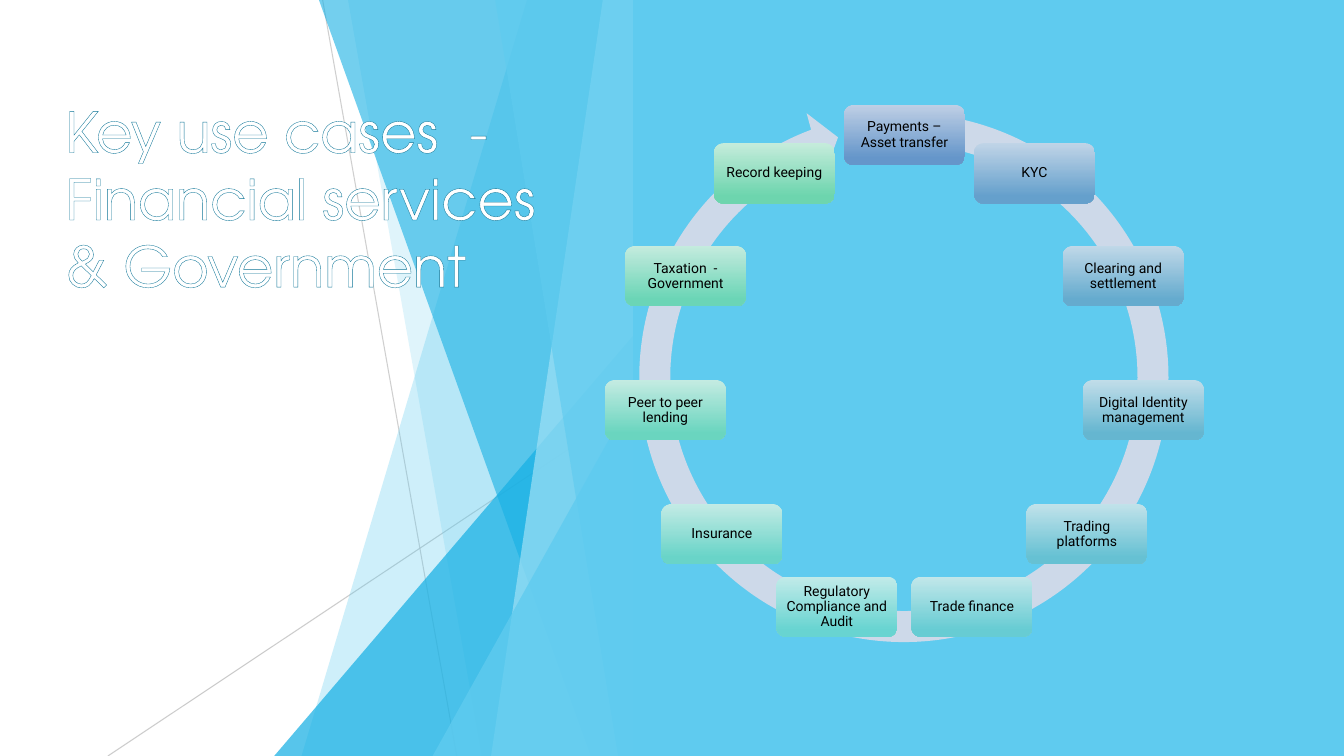
from math import cos, pi, sin

from lxml.etree import SubElement
from pptx import Presentation
from pptx.dml.color import RGBColor as Rgb
from pptx.enum.shapes import MSO_CONNECTOR as Wire, MSO_SHAPE as Kind
from pptx.enum.text import MSO_ANCHOR as Anchor, MSO_AUTO_SIZE as Fit, PP_ALIGN as Align
from pptx.oxml import parse_xml
from pptx.oxml.ns import nsdecls, qn
from pptx.util import Pt

PX = 9144  # 100 px to the inch
COLORS = {
    "sky": "5FCBEF", "blue": "17B0E4", "pale": "9FE0F5", "gray": "BFBFBF",
    "white": "FFFFFF", "edge": "0F7698", "ring": "CDD9E9", "black": "000000",
}
# label, top colour, bottom colour; clockwise from the top
CASES = [
    ("Payments – Asset transfer", "BFCFE5", "6596CA"),
    ("KYC", "C0D4E7", "65A0CC"),
    ("Clearing and settlement", "C0D8E8", "65ABCE"),
    ("Digital Identity management", "C1DDE9", "65B6D0"),
    ("Trading platforms", "C1E2EA", "66C1D3"),
    ("Trade finance", "C2E7EA", "67CCD3"),
    ("Regulatory Compliance and Audit", "C2EBE9", "68D4D1"),
    ("Insurance", "C3EBE5", "69D4C8"),
    ("Peer to peer lending", "C4EBE2", "6AD5BF"),
    ("Taxation  - Government", "C4EBDE", "6BD5B6"),
    ("Record keeping", "C5ECDB", "6DD5AE"),
]


def rgb(name):
    return Rgb.from_string(COLORS.get(name, name))


def apply(target, values):
    for key, value in values.items():
        setattr(target, key, value)


def fade(shape, alpha):
    """Set the opacity, in percent, of each colour in the shape."""
    for color in shape._element.xpath(".//a:srgbClr"):
        SubElement(color, qn("a:alpha")).set("val", str(alpha * 1000))


class Deck:
    title_font = {"name": "TeX Gyre Adventor", "size": Pt(40)}
    node_font = {"name": "Roboto", "size": Pt(10)}
    node_frame = {
        "word_wrap": True, "vertical_anchor": Anchor.MIDDLE,
        **{f"margin_{side}": 7 * PX for side in ("left", "right", "top", "bottom")},
    }

    def __init__(self):
        self.show = Presentation()
        apply(self.show, {"slide_width": 1333 * PX, "slide_height": 750 * PX})
        self.slide = self.show.slides.add_slide(self.show.slide_layouts[5])
        self.shapes = self.slide.shapes

    def paint(self, shape, color, alpha=100):
        shape.shadow.inherit = False
        shape.line.fill.background()
        shape.fill.solid()
        shape.fill.fore_color.rgb = rgb(color)
        if alpha < 100:
            fade(shape, alpha)
        return shape

    def shape(self, kind, box, color, alpha=100, adjust=()):
        shape = self.shapes.add_shape(kind, *(n * PX for n in box))
        for i, value in enumerate(adjust):
            shape.adjustments[i] = value
        return self.paint(shape, color, alpha)

    def facet(self, left, right, foot, start, color, alpha):
        """Draw a full-height band from its top edge to its bottom edge."""
        form = self.shapes.build_freeform(left, -1, scale=PX)
        form.add_line_segments([(right, -1), (right, 750), (foot, 750), (start, -1)])
        self.paint(form.convert_to_shape(), color, alpha)

    def line(self, ends, color, alpha):
        line = self.shapes.add_connector(Wire.STRAIGHT, *(n * PX for n in ends))
        line.line.width = Pt(0.75)
        line.line.color.rgb = rgb(color)
        fade(line, alpha)
        SubElement(line._element.spPr, qn("a:effectLst"))

    def title(self, text, box):
        title = self.shapes.title
        apply(title, dict(zip(("left", "top", "width", "height"), (n * PX for n in box))))
        frame = title.text_frame
        apply(frame, {"text": text, "word_wrap": True, "auto_size": Fit.NONE,
                      "vertical_anchor": Anchor.MIDDLE})
        para = frame.paragraphs[0]
        para.alignment = Align.LEFT
        run = para.runs[0]
        apply(run.font, self.title_font)
        run.font.color.rgb = rgb("white")
        run._r.get_or_add_rPr().insert(0, parse_xml(
            f'<a:ln {nsdecls("a")} w="{Pt(1.5)}"><a:solidFill>'
            f'<a:srgbClr val="{COLORS["edge"]}"/></a:solidFill></a:ln>'))
        self.shapes._spTree.append(title._element)  # bring to front

    def node(self, text, box, top, base):
        node = self.shape(Kind.ROUNDED_RECTANGLE, box, top)
        node.fill.gradient()
        node.fill.gradient_angle = 270
        for stop, color, place in zip(node.fill.gradient_stops, (top, base), (0, 0.88)):
            stop.color.rgb = rgb(color)
            stop.position = place
        apply(node.text_frame, {"text": text, **self.node_frame})
        para = node.text_frame.paragraphs[0]
        apply(para, {"alignment": Align.CENTER, "line_spacing": 0.9})
        apply(para.runs[0].font, self.node_font)
        para.runs[0].font.color.rgb = rgb("black")


def main():
    deck = Deck()
    side = 628  # where the facets meet the blue panel
    deck.line((320, 0, 453, 750), "gray", 75)
    deck.line((side, 403, 107, 750), "gray", 80)
    deck.facet(523, side, 299, 523, "sky", 30)
    deck.facet(345, side, 478, 345, "sky", 20)
    deck.shape(Kind.ISOSCELES_TRIANGLE, (272, 333, 356, 417), "blue", 72, [1])
    deck.facet(316, side, 586, 316, "blue", 60)
    deck.facet(598, side, 487, 598, "pale", 70)
    deck.facet(491, side, 613, 491, "sky", 65)
    deck.shape(Kind.ISOSCELES_TRIANGLE, (429, 393, 199, 357), "sky", 80, [1])
    deck.shape(Kind.RECTANGLE, (side, 0, 705, 750), "sky")
    deck.title("Key use cases  - Financial services & Government", (55, 41, 521, 310))

    deck.shape(Kind.CIRCULAR_ARROW, (617, 95, 559, 559), "ring",
               adjust=(0.055, 3.307, 149.491, 167.057, 0.058))
    mid_x, mid_y, radius, wide, high = 897, 373, 239, 120, 60
    for i, (text, top, base) in enumerate(CASES):
        turn = 2 * pi * i / len(CASES)
        left = round(mid_x + radius * sin(turn) - wide / 2)
        up = round(mid_y - radius * cos(turn) - high / 2)
        deck.node(text, (left, up, wide, high), top, base)
    deck.show.save("out.pptx")


if __name__ == "__main__":
    main()
